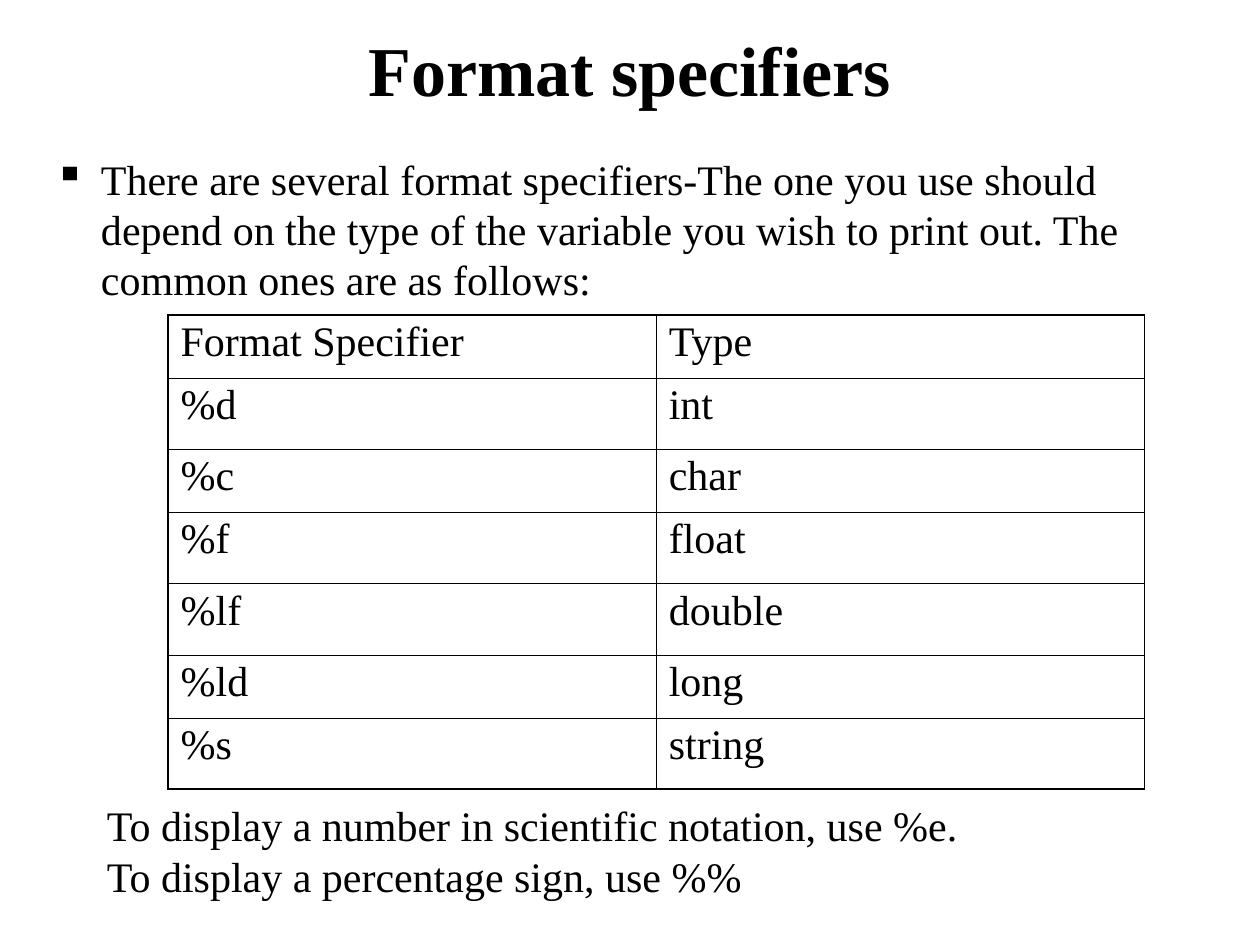
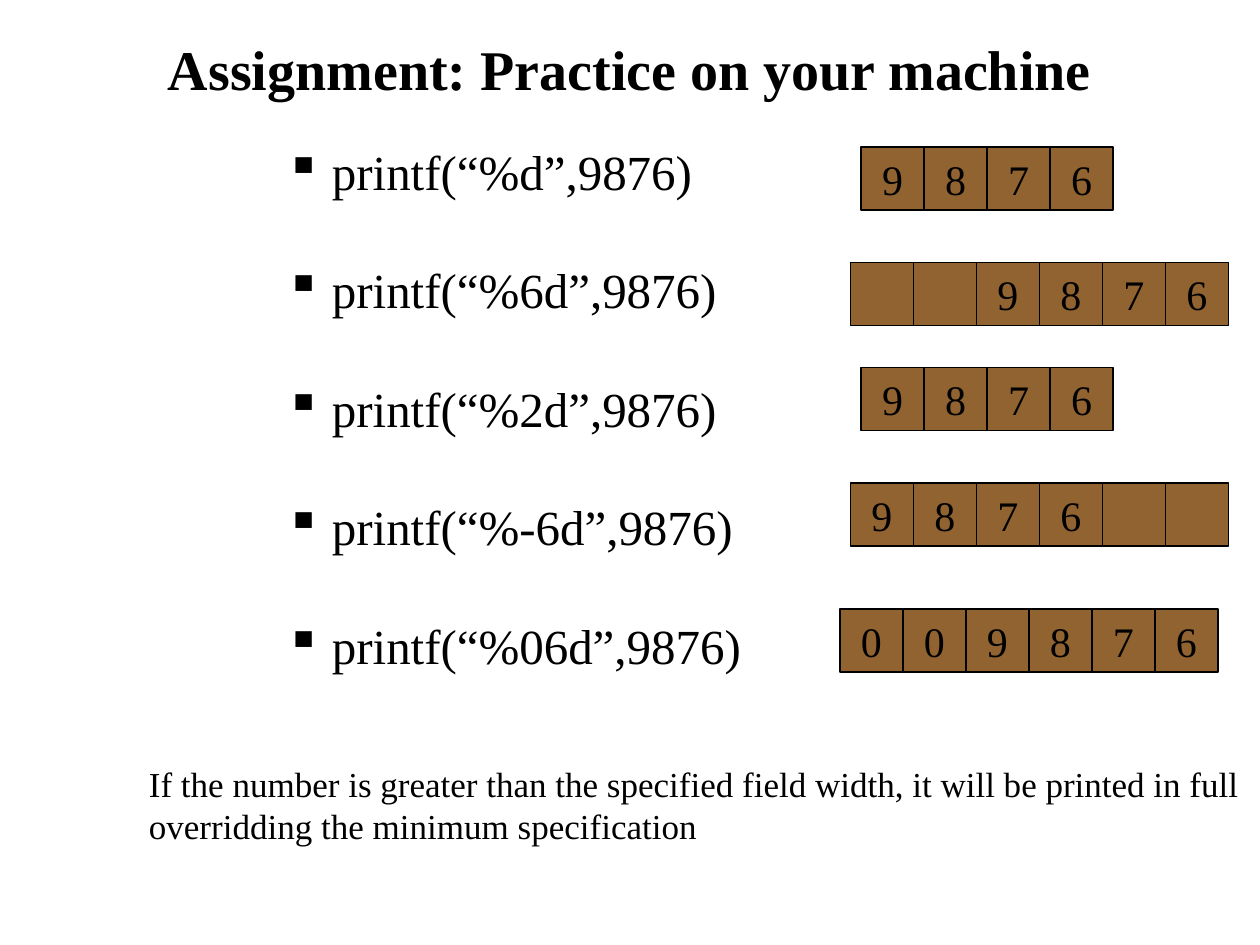
import pptx
import pptx.dml.color
import pptx.enum.shapes
import pptx.enum.text
import pptx.oxml
import pptx.oxml.ns
import pptx.util
from lxml import etree

Pt = pptx.util.Pt
COLORS = {"ink": "000000", "paper": "FFFFFF", "digit": "916331"}
FONT = "Times New Roman"
LEADING = 1.2
INDENT = 26.64


def write(frame, lines, size, leading=LEADING, gap=0, bullet=None, bold=False, align=None):
    """Fill a text frame, one paragraph a line; leading is a multiple of the size."""
    for index, line in enumerate(lines):
        paragraph = frame.paragraphs[0] if index == 0 else frame.add_paragraph()
        paragraph.text = line
        layout = {"alignment": align, "space_before": Pt(gap if index else 0),
                  "line_spacing": Pt(size * leading)}
        for name, value in layout.items():
            setattr(paragraph, name, value)
        if bullet:
            properties = paragraph._p.get_or_add_pPr()
            properties.set("marL", str(Pt(INDENT)))
            properties.set("indent", str(-Pt(INDENT)))
            color = etree.SubElement(properties, pptx.oxml.ns.qn("a:buClr"))
            etree.SubElement(color, pptx.oxml.ns.qn("a:srgbClr"), val=COLORS["ink"])
            etree.SubElement(properties, pptx.oxml.ns.qn("a:buChar"), char=bullet)
        for name, value in {"name": FONT, "size": Pt(size), "bold": bold}.items():
            setattr(paragraph.font, name, value)
        paragraph.font.color.rgb = pptx.dml.color.RGBColor.from_string(COLORS["ink"])


def add_text(slide, box, lines, size, **style):
    frame = slide.shapes.add_textbox(*map(Pt, box)).text_frame
    frame.word_wrap = True
    write(frame, lines, size, **style)


deck = pptx.Presentation()
deck.slide_width, deck.slide_height = Pt(720), Pt(540)
CENTER = pptx.enum.text.PP_ALIGN.CENTER
MIDDLE = pptx.enum.text.MSO_ANCHOR.MIDDLE

# Title style shared by the slides
slides = []
for heading, size in [("Format specifiers", 40), ("Assignment: Practice on your machine", 32)]:
    slide = deck.slides.add_slide(deck.slide_layouts[5])
    slide.background.fill.solid()
    slide.background.fill.fore_color.rgb = pptx.dml.color.RGBColor.from_string(COLORS["paper"])
    title = slide.shapes.title
    for name, value in {"left": 18, "top": 0, "width": 684, "height": 78}.items():
        setattr(title, name, Pt(value))
    title.text_frame.vertical_anchor = MIDDLE
    write(title.text_frame, [heading], size, bold=True, align=CENTER)
    slides.append(slide)
specifiers, assignment = slides

# Slide 1: specifiers and their types
add_text(specifiers, (24, 84, 678, 114),
         ["There are several format specifiers-The one you use should depend on the type of "
          "the variable you wish to print out. The common ones are as follows:"],
         24, bullet="▪")

types = [("Format Specifier", "Type"), ("%d", "int"), ("%c", "char"), ("%f", "float"),
         ("%lf", "double"), ("%ld", "long"), ("%s", "string")]
row_heights = [36, 40.8, 36, 40.8, 40.8, 36, 40.4]
table = specifiers.shapes.add_table(
    len(types), 2, Pt(96), Pt(180), Pt(558), Pt(sum(row_heights))).table
table.first_row = table.horz_banding = False
for column in table.columns:
    column.width = Pt(279)
for row, height in enumerate(row_heights):
    table.rows[row].height = Pt(height)
    for column, text in enumerate(types[row]):
        cell = table.cell(row, column)
        write(cell.text_frame, [text], 24)
        cell.text_frame.paragraphs[0].line_spacing = 0.95
        outer = {"L": column == 0, "R": column == 1, "T": row == 0, "B": row == len(types) - 1}
        for side, is_outer in outer.items():
            cell._tc.get_or_add_tcPr().append(pptx.oxml.parse_xml(
                f'<a:ln{side} {pptx.oxml.ns.nsdecls("a")} w="{Pt(1.08 if is_outer else 0.45)}">'
                f'<a:solidFill><a:srgbClr val="{COLORS["ink"]}"/></a:solidFill></a:ln{side}>'))
        cell.fill.background()

add_text(specifiers, (54, 453.6, 631.5, 64.8),
         ["To display a number in scientific notation, use %e.",
          "To display a percentage sign, use %%"], 24)

# Slide 2: each call beside the field it prints
outputs = [("%d", "9876", 492, 84), ("%6d", "  9876", 486, 150), ("%2d", "9876", 492, 210),
           ("%-6d", "9876  ", 486, 276), ("%06d", "009876", 480, 348)]
add_text(assignment, (156, 84, 678, 444),
         [f"printf(“{specifier}”,9876)" for specifier, *_ in outputs],
         28, leading=0.96, gap=40.8, bullet="▪")

DIGIT_SIDE = 36
for _, field, left, top in outputs:
    group = assignment.shapes.add_group_shape()
    for position, character in enumerate(field):
        digit = group.shapes.add_shape(
            pptx.enum.shapes.MSO_SHAPE.RECTANGLE, Pt(left + position * DIGIT_SIDE), Pt(top),
            Pt(DIGIT_SIDE), Pt(DIGIT_SIDE))
        digit.shadow.inherit = False
        digit.fill.solid()
        digit.fill.fore_color.rgb = pptx.dml.color.RGBColor.from_string(COLORS["digit"])
        digit.line.color.rgb = pptx.dml.color.RGBColor.from_string(COLORS["ink"])
        digit.line.width = Pt(0.75)
        if character != " ":
            digit.text_frame.word_wrap = False
            digit.text_frame.vertical_anchor = MIDDLE
            write(digit.text_frame, [character], 24, align=CENTER)

add_text(assignment, (78, 432, 642, 55.2),
         ["If the number is greater than the specified field width, it will be printed in full "
          "overridding the minimum specification"], 20)

deck.save("out.pptx")
